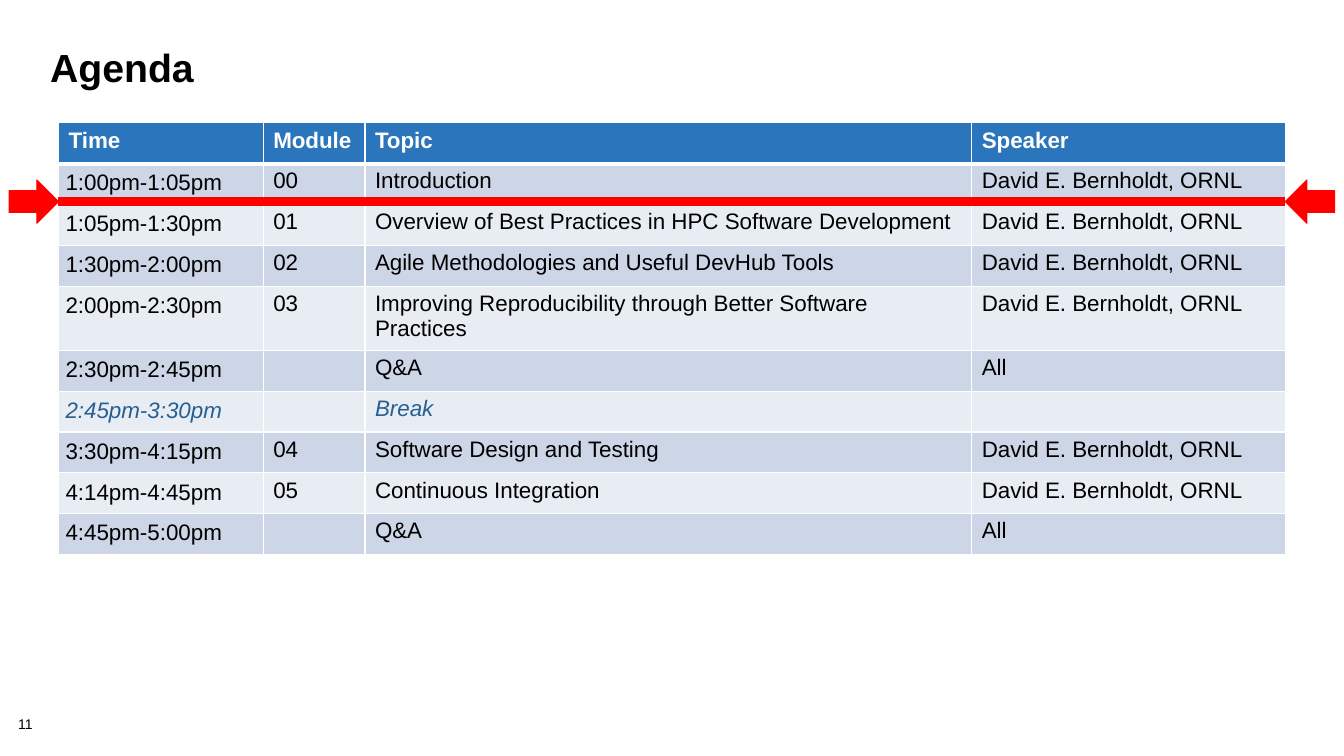
from dataclasses import dataclass

from lxml.etree import SubElement
from pptx import Presentation
from pptx.dml.color import RGBColor
from pptx.enum.shapes import MSO_CONNECTOR, MSO_SHAPE
from pptx.enum.text import MSO_ANCHOR, PP_ALIGN
from pptx.oxml.ns import qn
from pptx.util import Pt

TITLE = "Agenda"
SLIDE_NUMBER = "11"
HEADINGS = ("Time", "Module", "Topic", "Speaker")
LECTURER = "David E. Bernholdt, ORNL"
SESSIONS = [
    ("1:00pm-1:05pm", "00", "Introduction", LECTURER),
    ("1:05pm-1:30pm", "01", "Overview of Best Practices in HPC Software Development", LECTURER),
    ("1:30pm-2:00pm", "02", "Agile Methodologies and Useful DevHub Tools", LECTURER),
    ("2:00pm-2:30pm", "03", "Improving Reproducibility through Better Software Practices", LECTURER),
    ("2:30pm-2:45pm", "", "Q&A", "All"),
    ("2:45pm-3:30pm", "", "Break", ""),
    ("3:30pm-4:15pm", "04", "Software Design and Testing", LECTURER),
    ("4:14pm-4:45pm", "05", "Continuous Integration", LECTURER),
    ("4:45pm-5:00pm", "", "Q&A", "All"),
]


@dataclass(frozen=True)
class Theme:
    font: str = "Arial"
    text: str = "000000"
    white: str = "FFFFFF"
    header: str = "2A75BB"
    bands: tuple = ("CDD6E7", "E8ECF3")
    pause: str = "266093"
    marker: str = "FF0000"
    title_size: float = 28
    table_size: float = 16
    number_size: float = 10


THEME = Theme()

SLIDE_WIDTH, SLIDE_HEIGHT = 960, 540
TABLE_LEFT, TABLE_TOP = 41.8, 87.8
COLUMN_WIDTHS = (146.2, 72.7, 433.4, 223.9)
TABLE_WIDTH = sum(COLUMN_WIDTHS)
ROW_HEIGHT = 29.2
TIME_INSET = 5
MARKER_Y = 144
ARROW_WIDTH, ARROW_HEIGHT = 35.3, 31


def write_text(frame, text, *, size, color=THEME.text, bold=False, italic=False, spacing=1.0):
    frame.word_wrap = True
    paragraph = frame.paragraphs[0]
    paragraph.alignment = PP_ALIGN.LEFT
    paragraph.line_spacing = spacing
    run = paragraph.add_run()
    run.text = text
    run.font.name = THEME.font
    run.font.size = Pt(size)
    run.font.bold = bold
    run.font.italic = italic
    run.font.color.rgb = RGBColor.from_string(color)


def add_label(slide, box, text, inset=None, **text_format):
    frame = slide.shapes.add_textbox(*map(Pt, box)).text_frame
    frame.vertical_anchor = MSO_ANCHOR.TOP
    if inset is not None:
        frame.margin_left = frame.margin_right = Pt(inset)
        frame.margin_top = frame.margin_bottom = Pt(inset)
    write_text(frame, text, **text_format)


def set_borders(cell, **widths):
    """Draw white borders; widths maps the sides L, R, T and B to points."""
    properties = cell._tc.get_or_add_tcPr()
    for side, width in widths.items():
        line = SubElement(properties, qn(f"a:ln{side}"), w=str(Pt(width)))
        fill = SubElement(line, qn("a:solidFill"))
        SubElement(fill, qn("a:srgbClr"), val=THEME.white)


def style_cell(cell, row, column, text, pause):
    is_header = row == 0
    set_borders(cell, L=1, R=1, T=3 if row == 1 else 1, B=3 if is_header else 1)
    cell.fill.solid()
    background = THEME.header if is_header else THEME.bands[(row - 1) % 2]
    cell.fill.fore_color.rgb = RGBColor.from_string(background)
    if column == 0 and not is_header:
        cell.margin_left = cell.margin_right = Pt(TIME_INSET)
        cell.margin_top = cell.margin_bottom = Pt(TIME_INSET)
    if text:
        color = THEME.white if is_header else THEME.pause if pause else THEME.text
        write_text(cell.text_frame, text, size=THEME.table_size, color=color,
                   bold=is_header, italic=pause)


def add_agenda_table(slide):
    rows = [HEADINGS, *SESSIONS]
    table = slide.shapes.add_table(
        len(rows), len(HEADINGS), Pt(TABLE_LEFT), Pt(TABLE_TOP),
        Pt(TABLE_WIDTH), Pt(ROW_HEIGHT * len(rows))).table
    for column, width in zip(table.columns, COLUMN_WIDTHS):
        column.width = Pt(width)
    for row_index, values in enumerate(rows):
        table.rows[row_index].height = Pt(ROW_HEIGHT)
        pause = "Break" in values
        for column_index, text in enumerate(values):
            style_cell(table.cell(row_index, column_index), row_index, column_index, text, pause)


def add_progress_marker(slide):
    """Add the red line across the table, with an arrow pointing at each end."""
    red = RGBColor.from_string(THEME.marker)
    table_right = TABLE_LEFT + TABLE_WIDTH
    group = slide.shapes.add_group_shape()
    line = group.shapes.add_connector(
        MSO_CONNECTOR.STRAIGHT, Pt(TABLE_LEFT), Pt(MARKER_Y), Pt(table_right), Pt(MARKER_Y))
    line.line.color.rgb = red
    line.line.width = Pt(6)
    SubElement(line._element.spPr, qn("a:effectLst"))
    for left, rotation in ((TABLE_LEFT - ARROW_WIDTH, 0), (table_right, 180)):
        arrow = group.shapes.add_shape(
            MSO_SHAPE.RIGHT_ARROW, Pt(left), Pt(MARKER_Y - ARROW_HEIGHT / 2),
            Pt(ARROW_WIDTH), Pt(ARROW_HEIGHT))
        arrow.rotation = rotation
        arrow.shadow.inherit = False
        arrow.fill.solid()
        arrow.fill.fore_color.rgb = red
        arrow.line.color.rgb = red
        arrow.line.width = Pt(0.75)


def main():
    presentation = Presentation()
    presentation.slide_width = Pt(SLIDE_WIDTH)
    presentation.slide_height = Pt(SLIDE_HEIGHT)
    slide = presentation.slides.add_slide(presentation.slide_layouts[6])
    add_label(slide, (13, 512.6, 40, 11.5), SLIDE_NUMBER, inset=0,
              size=THEME.number_size, spacing=0.9)
    add_label(slide, (28.8, 32.4, 895.7, 72), TITLE,
              size=THEME.title_size, bold=True, spacing=0.85)
    add_agenda_table(slide)
    add_progress_marker(slide)
    presentation.save("out.pptx")


if __name__ == "__main__":
    main()
